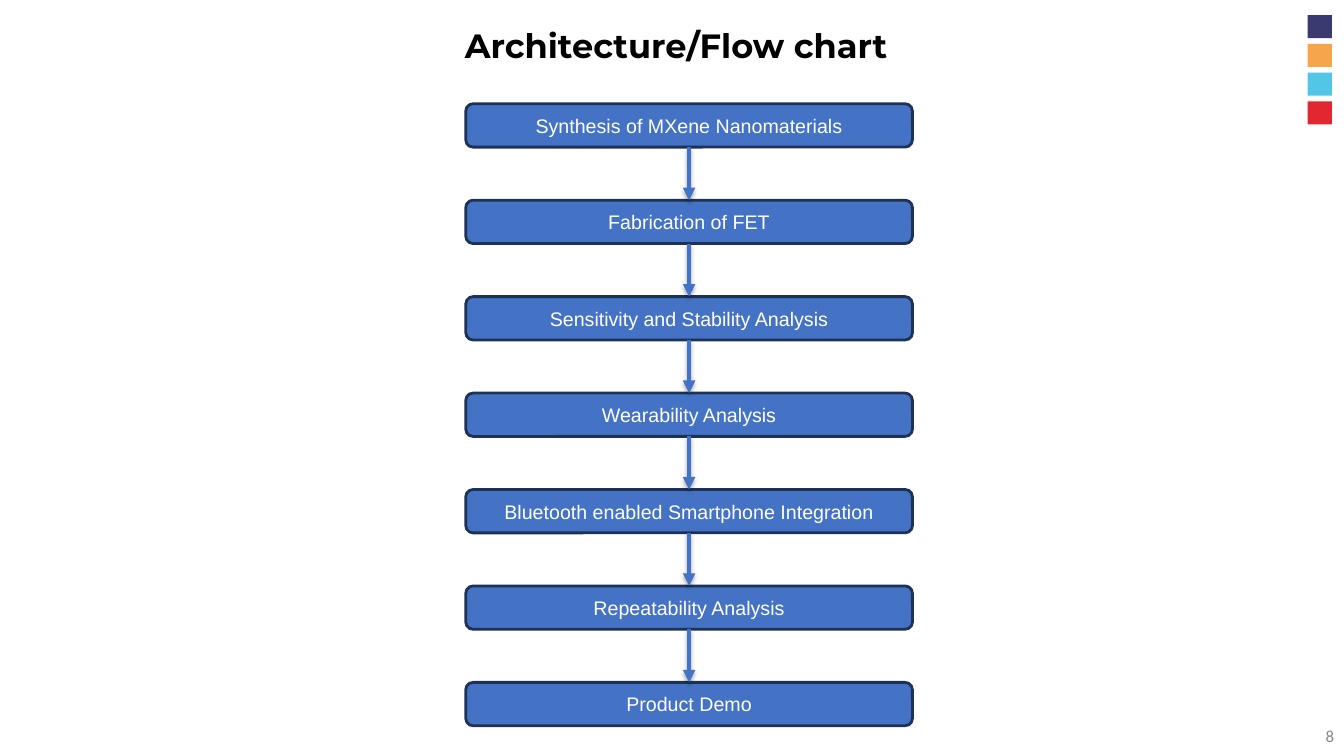
"""Build the architecture flow chart slide."""
from lxml import etree
from pptx import Presentation
from pptx.dml.color import RGBColor
from pptx.enum.shapes import MSO_CONNECTOR as Link, MSO_SHAPE as Shape
from pptx.enum.text import MSO_ANCHOR as Anchor, MSO_AUTO_SIZE as Fit, PP_ALIGN as Align
from pptx.oxml import parse_xml
from pptx.oxml.ns import nsdecls, qn
from pptx.util import Inches, Pt

BLUE, NAVY = "4472C4", "1E3256"
STEPS = [
    "Synthesis of MXene Nanomaterials",
    "Fabrication of FET",
    "Sensitivity and Stability Analysis",
    "Wearability Analysis",
    "Bluetooth enabled Smartphone Integration",
    "Repeatability Analysis",
    "Product Demo",
]
SQUARES = ["3A3A70", "F7A54B", "51C6E7", "E12730"]
STEP_LEFT, STEP_TOP, STEP_WIDTH, STEP_HEIGHT = 4.62, 1.03, 4.43, 0.43
STEP_PITCH = (6.77 - STEP_TOP) / (len(STEPS) - 1)
SHADOW = f"""<a:effectLst {nsdecls('a')}>
  <a:outerShdw blurRad="40000" dist="23000" dir="5400000" rotWithShape="0">
    <a:srgbClr val="000000"><a:alpha val="35000"/></a:srgbClr>
  </a:outerShdw>
</a:effectLst>"""


def write(shape, text, size, font, color, align=Align.CENTER, anchor=Anchor.MIDDLE, bold=False):
    frame = shape.text_frame
    frame.word_wrap = True
    frame.auto_size = Fit.NONE
    frame.vertical_anchor = anchor
    para = frame.paragraphs[0]
    para.alignment = align
    span = para.add_run()
    span.text = text
    span.font.size = Pt(size)
    span.font.name = font
    span.font.bold = bold
    span.font.color.rgb = RGBColor.from_string(color)


def add_block(kind, left, top, width, height, color):
    block = page.shapes.add_shape(kind, Inches(left), Inches(top), Inches(width), Inches(height))
    block.shadow.inherit = False
    block.fill.solid()
    block.fill.fore_color.rgb = RGBColor.from_string(color)
    block.line.fill.background()
    return block


deck = Presentation()
deck.slide_width, deck.slide_height = Inches(13.33), Inches(7.5)
page = deck.slides.add_slide(deck.slide_layouts[5])

for row, color in enumerate(SQUARES):
    add_block(Shape.RECTANGLE, 12.97, 0.15 + row * 0.285, 0.24, 0.23, color)

number = page.shapes.add_textbox(Inches(10.33), Inches(7.1), Inches(3), Inches(0.4))
write(number, "8", 12, "Calibri", "888888", align=Align.RIGHT)

title = page.shapes.title
title.left, title.top, title.width, title.height = Inches(1.05), Inches(0.2), Inches(11.5), Inches(0.54)
title.text_frame.margin_right = Inches(0.29)
write(title, "Architecture/Flow chart", 24, "Montserrat", "000000", anchor=Anchor.TOP, bold=True)

boxes = []
for row, step in enumerate(STEPS):
    top = STEP_TOP + row * STEP_PITCH
    box = add_block(Shape.ROUNDED_RECTANGLE, STEP_LEFT, top, STEP_WIDTH, STEP_HEIGHT, BLUE)
    box.line.color.rgb = RGBColor.from_string(NAVY)
    box.line.width = Pt(2)
    write(box, step, 14, "Arial", "FFFFFF")
    boxes.append(box)

for upper, lower in zip(boxes, boxes[1:]):
    arrow = page.shapes.add_connector(Link.STRAIGHT, 0, 0, 0, 0)
    arrow.begin_connect(upper, 2)
    arrow.end_connect(lower, 0)
    arrow.line.color.rgb = RGBColor.from_string(BLUE)
    arrow.line.width = Pt(3)
    etree.SubElement(arrow.get_or_add_ln(), qn("a:tailEnd"), type="triangle")
    arrow._element.spPr.append(parse_xml(SHADOW))

deck.save("out.pptx")
